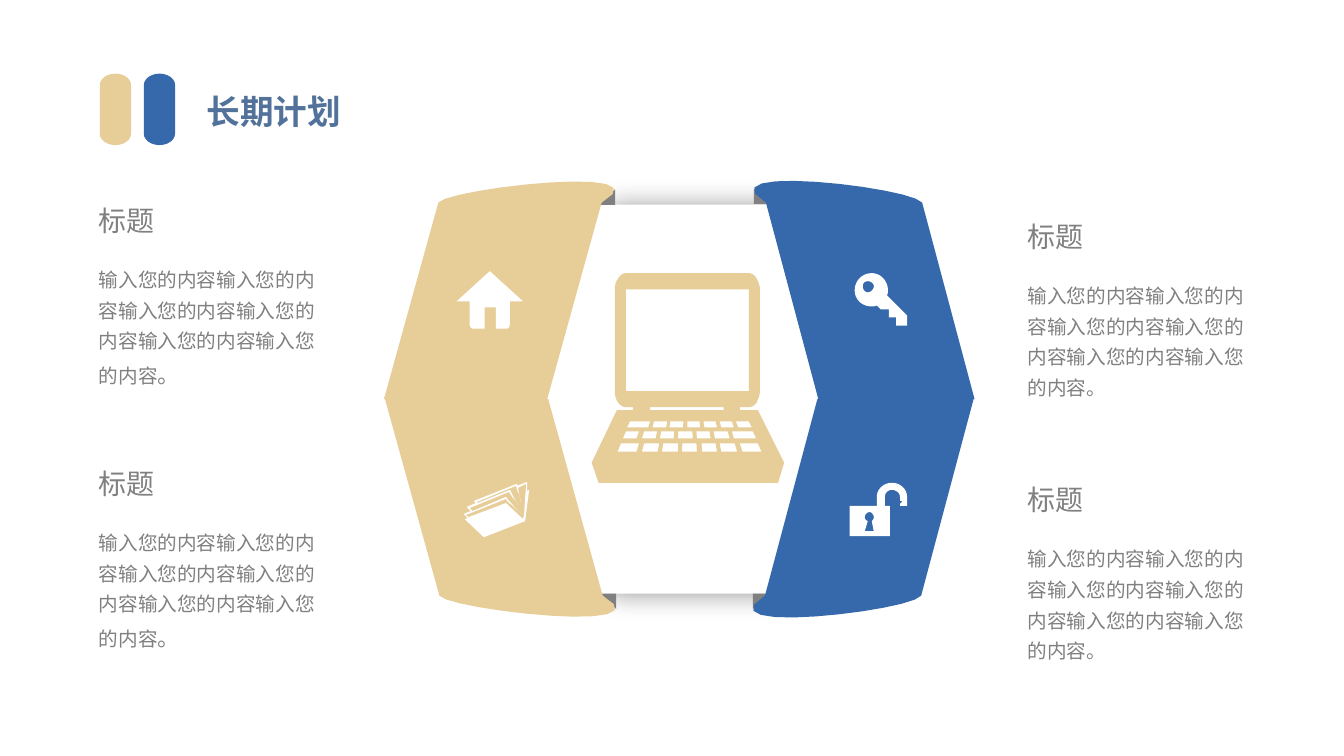
import pptx
import pptx.dml.color
import pptx.enum.shapes
import pptx.enum.text
import pptx.oxml
import pptx.oxml.ns
import pptx.util

Cm = pptx.util.Cm
Pt = pptx.util.Pt
RGBColor = pptx.dml.color.RGBColor
MSO_SHAPE = pptx.enum.shapes.MSO_SHAPE
TAN = RGBColor(0xE7, 0xCD, 0x98)
BLUE = RGBColor(0x36, 0x69, 0xAB)
TITLE_BLUE = RGBColor(0x52, 0x72, 0x9B)
GRAY = RGBColor(0x80, 0x80, 0x80)
WHITE = RGBColor(0xFF, 0xFF, 0xFF)
FONT = "Noto Sans CJK SC"
FINE = 100  # subdivisions of one outline unit, 0.01 inch
SCALE = Cm(2.54) / 100 / FINE
CURVE_STEPS = 12

prs = pptx.Presentation()
prs.slide_width = Cm(33.87)
prs.slide_height = Cm(19.05)
slide = prs.slides.add_slide(prs.slide_layouts[5])
shapes = slide.shapes


def draw_outline(contours, color):
    """Fill closed contours of points (x, y) and cubic curves (x1, y1, x2, y2, x, y)."""
    builder = None
    for contour in contours:
        points = []
        for step in contour:
            if len(step) == 2:
                points.append(step)
                continue
            x0, y0 = points[-1]
            x1, y1, x2, y2, x3, y3 = step
            for i in range(1, CURVE_STEPS + 1):
                t = i / CURVE_STEPS
                u = 1 - t
                a, b, c, d = u**3, 3 * u * u * t, 3 * u * t * t, t**3
                points.append((a * x0 + b * x1 + c * x2 + d * x3,
                               a * y0 + b * y1 + c * y2 + d * y3))
        points = [(x * FINE, y * FINE) for x, y in points]
        if builder is None:
            builder = shapes.build_freeform(*points[0], scale=SCALE)
        else:
            builder.move_to(*points[0])
        builder.add_line_segments(points[1:], close=True)
    sp = builder.convert_to_shape()
    sp.shadow.inherit = False
    sp.fill.solid()
    sp.fill.fore_color.rgb = color
    sp.line.fill.background()


def set_font(p, size, color):
    p.font.name = FONT
    p.font.size = Pt(size)
    p.font.color.rgb = color
    defaults = p._p.pPr.find(pptx.oxml.ns.qn("a:defRPr"))
    ea = defaults.makeelement(pptx.oxml.ns.qn("a:ea"), {"typeface": FONT})
    defaults.append(ea)


# Title
title = shapes.title
title.left, title.top, title.width, title.height = Cm(4.95), Cm(2.16), Cm(4.83), Cm(1.27)
tf = title.text_frame
tf.text = "长期计划"
tf.word_wrap = True
tf.auto_size = pptx.enum.text.MSO_AUTO_SIZE.NONE
tf.vertical_anchor = pptx.enum.text.MSO_ANCHOR.TOP
p = tf.paragraphs[0]
p.alignment = pptx.enum.text.PP_ALIGN.JUSTIFY
set_font(p, 24, TITLE_BLUE)
p.font.bold = True

# Title tabs, centre panel and ribbon folds: kind, left, top, width, height, turn, colour
FOLD = MSO_SHAPE.RIGHT_TRIANGLE
TAB = MSO_SHAPE.FLOWCHART_TERMINATOR
presets = [
    (TAB, 2.01, 2.36, 1.8, 0.79, 270, TAN),
    (TAB, 3.12, 2.36, 1.8, 0.79, 270, BLUE),
    (MSO_SHAPE.HEXAGON, 12.32, 5.16, 9.78, 9.8, 0, WHITE),
    (FOLD, 15.11, 4.77, 0.39, 0.39, 270, GRAY),
    (FOLD, 15.14, 14.96, 0.39, 0.39, 180, GRAY),
    (FOLD, 19, 4.75, 0.39, 0.39, 0, GRAY),
    (FOLD, 18.97, 14.96, 0.39, 0.39, 90, GRAY),
]
for kind, left, top, width, height, turn, color in presets:
    sp = shapes.add_shape(kind, Cm(left), Cm(top), Cm(width), Cm(height))
    sp.rotation = turn
    sp.shadow.inherit = False
    sp.fill.solid()
    sp.fill.fore_color.rgb = color
    sp.line.fill.background()
    if kind == MSO_SHAPE.HEXAGON:
        effects = sp._element.spPr.find(pptx.oxml.ns.qn("a:effectLst"))
        effects.append(pptx.oxml.parse_xml(
            f'<a:outerShdw {pptx.oxml.ns.nsdecls("a")} blurRad="{Pt(19)}" dist="{Pt(19)}" dir="0"'
            ' algn="ctr" rotWithShape="0"><a:srgbClr val="000000"><a:alpha val="40000"/>'
            "</a:srgbClr></a:outerShdw>"))

# Ribbons: each lower half mirrors the upper one
MIRROR = 792
ribbons = [
    (TAN, 1, [(381, 396), (435, 201), (445, 187, 664, 162, 597, 201), (543, 396)]),
    (BLUE, -1, [(967, 396), (915, 201), (905, 186, 696, 161, 760, 201), (812, 396)]),
]
for color, shift, upper in ribbons:
    lower = [[MIRROR - v if i % 2 else v + shift for i, v in enumerate(step)] for step in upper]
    draw_outline([upper], color)
    draw_outline([lower], color)

# Laptop: body, hinge gap, screen and three rows of keys
laptop = [
    [(612, 407), (628, 407), (628, 404), (621, 404), (618, 404, 615, 402, 613, 399),
     (611, 396, 610, 392, 610, 388), (610, 287), (610, 283, 611, 279, 613, 277),
     (615, 273, 618, 271, 621, 271), (743, 271), (746, 271, 749, 273, 751, 277),
     (752, 279, 754, 283, 754, 287), (754, 388), (754, 392, 752, 396, 751, 399),
     (749, 402, 746, 404, 743, 404), (734, 404), (734, 407), (752, 407), (778, 459),
     (772, 479), (594, 479), (587, 459)],
    [(645, 407), (718, 407), (718, 404), (645, 404)],
    [(621, 287), (621, 388), (743, 388), (743, 287)],
]
KEY_CENTER = 682
KEY_SPREAD = 1.05
key_rows = [
    (418, 424, [(625, 645), (649, 662), (665, 678), (682, 694), (698, 710), (714, 726), (730, 743)]),
    (428, 435, [(621, 634), (639, 652), (656, 669), (673, 687), (691, 704), (708, 722), (726, 747)]),
    (440, 448, [(616, 634), (639, 654), (658, 673), (677, 691), (696, 710), (714, 729), (734, 752)]),
]
for top, bottom, keys in key_rows:
    for left, right in keys:
        low_left, low_right = [KEY_CENTER + (x - KEY_CENTER) * KEY_SPREAD for x in (left, right)]
        laptop.append([(left, top), (low_left, bottom), (low_right, bottom), (right, top)])
draw_outline(laptop, TAN)

# Text blocks: left, top, size of the closing full stop
BODY = "输入您的内容" * 6
for left, top, stop_size in [(2.24, 4.75, 16), (2.24, 11.38, 16), (25.65, 5.16, 14), (25.65, 11.79, 14)]:
    box = shapes.add_textbox(Cm(left), Cm(top), Cm(6.25), Cm(5.97 if stop_size == 16 else 5.74))
    tf = box.text_frame
    tf.word_wrap = True
    heading = tf.paragraphs[0]
    heading.text = "标题"
    heading.space_after = Pt(17)
    body = tf.add_paragraph()
    for p, size in [(heading, 20), (body, 14)]:
        p.line_spacing = 1.3
        set_font(p, size, GRAY)
    if stop_size == 14:
        body.text = BODY + "。"
    else:
        body.text = BODY
        r = body.add_run()
        r.text = "。"
        r.font.size = Pt(stop_size)

# White icons on the ribbons
house = [[(486, 269), (519, 299), (506, 299), (506, 321), (506, 323, 505, 326, 503, 326),
          (492, 326), (492, 305), (481, 305), (481, 326), (469, 326),
          (467, 326, 466, 323, 466, 321), (466, 299), (453, 299)]]
papers = [[(523, 487), (523, 478), (513, 482), (513, 480), (470, 497), (472, 499), (463, 503),
           (467, 507), (460, 510), (464, 514), (461, 515), (480, 533), (521, 517), (502, 499),
           (465, 513), (462, 511), (502, 495), (504, 498), (508, 501), (514, 507), (508, 500),
           (505, 497), (502, 493), (469, 507), (466, 504), (505, 488), (507, 491), (509, 494),
           (512, 497), (514, 501), (512, 497), (510, 494), (508, 490), (506, 486), (474, 499),
           (473, 498), (512, 482), (513, 486), (515, 490), (517, 499), (516, 495), (515, 490),
           (514, 484), (522, 480), (520, 510), (519, 515), (521, 517), (525, 486)]]
key = [
    [(880, 293), (881, 291, 881, 290, 881, 288), (881, 279, 874, 271, 865, 271),
     (855, 271, 848, 279, 848, 288), (848, 297, 855, 304, 865, 304),
     (866, 304, 868, 304, 870, 303), (874, 307), (882, 307), (882, 315), (889, 315),
     (889, 323), (900, 323), (900, 313)],
    [(861, 290), (858, 290, 856, 287, 856, 284), (856, 281, 858, 279, 861, 279),
     (864, 279, 867, 281, 867, 284), (867, 287, 864, 290, 861, 290)],
]
padlock = [
    [(885, 479), (877, 479, 870, 485, 870, 493), (870, 502), (843, 502), (843, 532), (883, 532),
     (883, 502), (878, 502), (878, 493), (878, 489, 881, 486, 885, 486),
     (889, 486, 893, 489, 893, 493), (893, 497), (895, 497), (895, 498), (893, 500), (893, 502),
     (900, 502), (900, 493), (900, 485, 893, 479, 885, 479)],
    [(867, 527), (858, 527), (861, 517), (859, 516, 858, 515, 858, 513),
     (858, 511, 860, 508, 863, 508), (865, 508, 867, 511, 867, 513),
     (867, 515, 866, 516, 865, 517)],
]
for icon in (house, papers, key, padlock):
    draw_outline(icon, WHITE)

prs.save("out.pptx")
